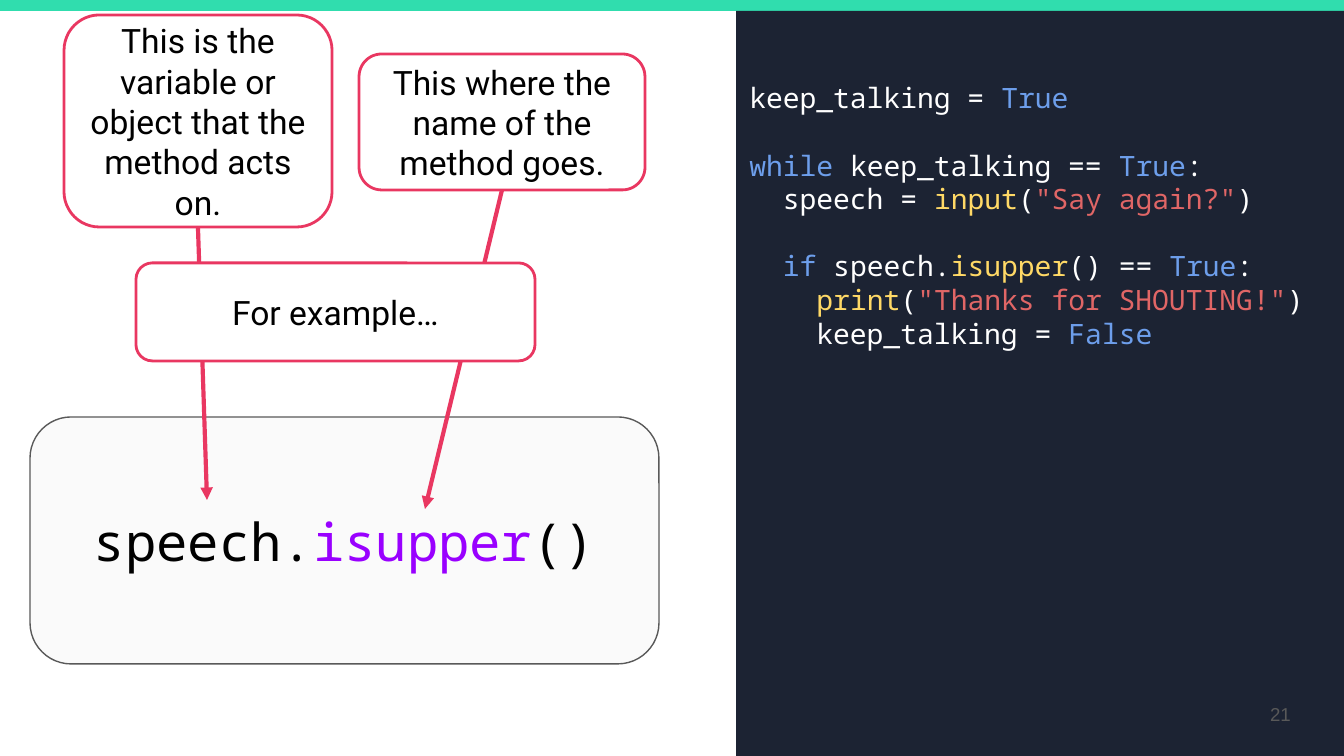
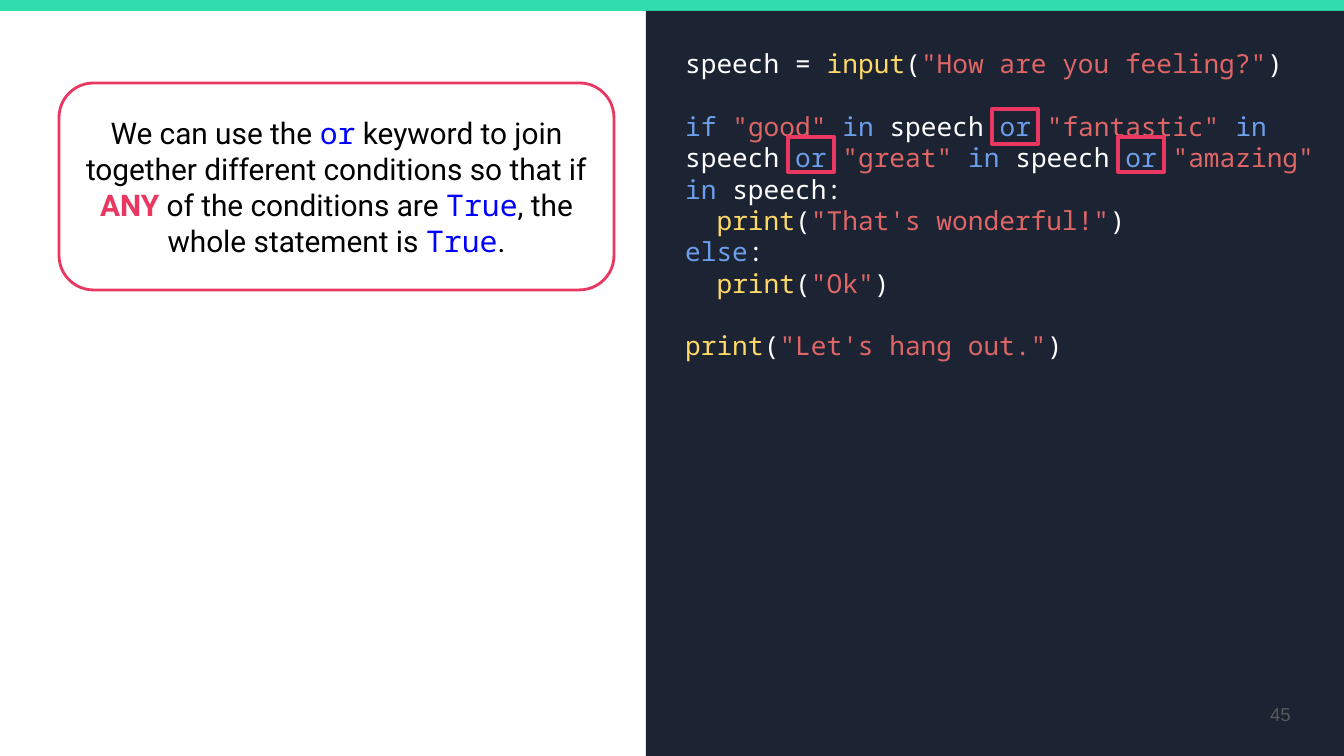
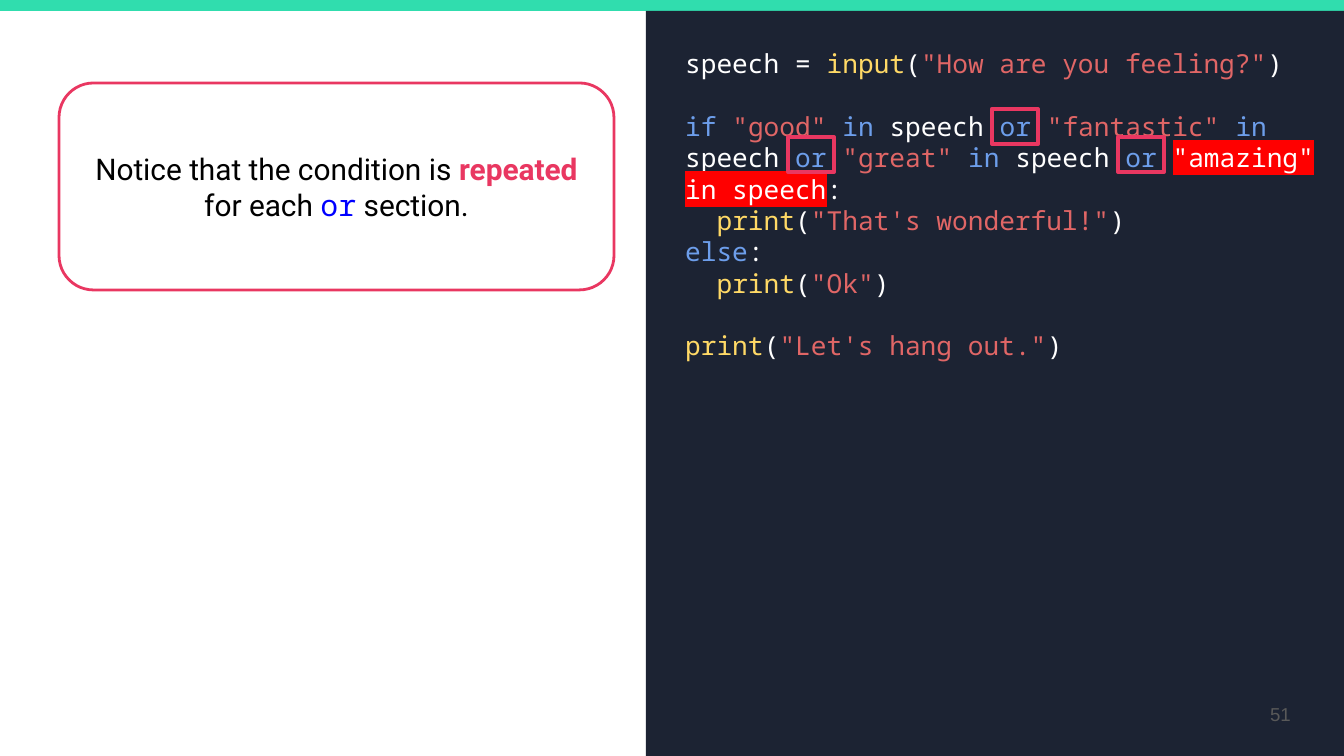
"""Build three lesson slides about Python methods and the or keyword."""
from dataclasses import dataclass

from lxml import etree
from pptx import Presentation
from pptx import util as u
from pptx.dml.color import RGBColor
from pptx.enum import shapes, text
from pptx.oxml.ns import qn

PX = u.Inches(1) / 134.4
WIDTH, HEIGHT = 1344, 756


@dataclass(frozen=True)
class Theme:
    mono: str = "Noto Sans Mono"
    body: str = "Roboto"
    footer: str = "Arial"
    band: str = "30DDAE"
    panel: str = "1C2333"
    accent: str = "E93761"
    card: str = "FFFFFF"
    method_card: str = "FAFAFA"
    grey: str = "595959"
    black: str = "000000"
    white: str = "FFFFFF"
    keyword: str = "6D9EEB"
    function: str = "FFD966"
    string: str = "E06666"
    inline: str = "0000FF"
    method: str = "9900FF"
    marker: str = "FF0000"
    method_size: int = 28
    label_size: int = 18
    note_size: int = 16
    long_code_size: int = 14
    code_size: int = 15
    footer_size: int = 10
    line_height: float = 1.2
    hairline: float = 0.75
    outline: float = 1.5
    heavy: float = 2.25


THEME = Theme()
STYLES = {
    "code": (THEME.mono, THEME.white),
    "keyword": (THEME.mono, THEME.keyword),
    "function": (THEME.mono, THEME.function),
    "string": (THEME.mono, THEME.string),
    "marked": (THEME.mono, THEME.white),
    "object": (THEME.mono, THEME.black),
    "method": (THEME.mono, THEME.method),
    "inline": (THEME.mono, THEME.inline),
    "body": (THEME.body, THEME.black),
    "strong": (THEME.body, THEME.accent),
    "footer": (THEME.footer, THEME.grey),
}


def call(indent, name, argument):
    """Return the runs of a function call with a string argument."""
    return [("code", indent), ("function", name), ("code", "("),
            ("string", argument), ("code", ")")]


def feeling_code(ending):
    """Return the feelings program with the given end of its condition."""
    condition = [("keyword", "if ")]
    for word in ('"good" ', '"fantastic" ', '"great" '):
        condition += [("string", word), ("keyword", "in"), ("code", " speech "),
                      ("keyword", "or ")]
    return [
        call("speech = ", "input", '"How are you feeling?"'),
        [],
        condition + ending,
        call("  ", "print", '"That\'s wonderful!"'),
        [("keyword", "else"), ("code", ":")],
        call("  ", "print", '"Ok"'),
        [],
        call("", "print", '"Let\'s hang out."'),
    ]


SHOUTING_CODE = [
    [],
    [("code", "keep_talking = "), ("keyword", "True")],
    [],
    [("keyword", "while"), ("code", " keep_talking == "), ("keyword", "True"), ("code", ":")],
    call("  speech = ", "input", '"Say again?"'),
    [],
    [("code", "  "), ("keyword", "if"), ("code", " speech."), ("function", "isupper"),
     ("code", "() == "), ("keyword", "True"), ("code", ":")],
    call("    ", "print", '"Thanks for SHOUTING!"'),
    [("code", "    keep_talking = "), ("keyword", "False")],
]
METHOD_CALL = [("object", "speech."), ("method", "isupper"), ("object", "()")]
METHOD_BOX = (30, 417, 629, 247)
POINTERS = [
    ("This is the variable or object that the method acts on.", (64, 15, 268, 212), (207, 500)),
    ("This where the name of the method goes.", (359, 54, 286, 136), (425, 509)),
]
EXAMPLE = ("For example…", (136, 263, 399, 98))
OR_SLIDES = [
    (45,
     [("body", "We can use the "), ("inline", "or"),
      ("body", " keyword to join together different conditions so that if "),
      ("strong", "ANY"), ("body", " of the conditions are "), ("inline", "True"),
      ("body", ", the whole statement is "), ("inline", "True"), ("body", ".")],
     [("string", '"amazing" '), ("keyword", "in"), ("code", " speech:")]),
    (51,
     [("body", "Notice that the condition is "), ("strong", "repeated"),
      ("body", " for each "), ("inline", "or"), ("body", " section.")],
     [("marked", '"amazing" in speech'), ("code", ":")]),
]
NOTE_BOX = (59, 83, 555, 207)
OR_FRAMES = [(992, 109), (788, 137), (1118, 137)]
OR_FRAME_SIZE = (46, 35)


def emu(*lengths):
    """Turn px lengths into EMU."""
    return [round(length * PX) for length in lengths]


def write(shape, lines, size, align=text.PP_ALIGN.LEFT, anchor=text.MSO_ANCHOR.MIDDLE):
    """Write styled lines, turning empty ones into space above the next."""
    frame = shape.text_frame
    frame.word_wrap = True
    frame.vertical_anchor = anchor
    inset = u.Inches(0.1)
    frame.margin_left = frame.margin_right = frame.margin_top = frame.margin_bottom = inset
    gap, started = 0, False
    for line in lines:
        if not line:
            gap += size * THEME.line_height
            continue
        paragraph = frame.add_paragraph() if started else frame.paragraphs[0]
        if started:
            paragraph.space_before = u.Pt(gap)
        else:
            frame.margin_top = inset + u.Pt(gap)
        paragraph.alignment = align
        gap, started = 0, True
        for style, content in line:
            if content:
                add_run(paragraph, content, style, size)


def add_run(paragraph, content, style, size):
    """Add one run in a named style."""
    run = paragraph.add_run()
    run.text = content
    run.font.name, color = STYLES[style]
    run.font.size = u.Pt(size)
    run.font.bold = style == "strong"
    run.font.color.rgb = RGBColor.from_string(color)
    if style == "marked":
        highlight = etree.Element(qn("a:highlight"))
        etree.SubElement(highlight, qn("a:srgbClr"), val=THEME.marker)
        run.font._element.find(qn("a:solidFill")).addnext(highlight)


def add_box(slide, box, fill=None, line=None, weight=THEME.outline, rounded=False):
    """Add a plain or rounded rectangle."""
    kind = shapes.MSO_SHAPE.ROUNDED_RECTANGLE if rounded else shapes.MSO_SHAPE.RECTANGLE
    shape = slide.shapes.add_shape(kind, *emu(*box))
    shape.shadow.inherit = False
    if fill:
        shape.fill.solid()
        shape.fill.fore_color.rgb = RGBColor.from_string(fill)
    else:
        shape.fill.background()
    if line:
        shape.line.color.rgb = RGBColor.from_string(line)
        shape.line.width = u.Pt(weight)
    else:
        shape.line.fill.background()
    return shape


def add_callout(slide, box, runs, size):
    """Add a rounded, accent-outlined card with centred text."""
    shape = add_box(slide, box, THEME.card, THEME.accent, rounded=True)
    write(shape, [runs], size, text.PP_ALIGN.CENTER)
    return shape


def add_arrow(slide, source, end):
    """Draw an arrow from the bottom of a card to a point."""
    connector = slide.shapes.add_connector(
        shapes.MSO_CONNECTOR.STRAIGHT, 0, 0, *emu(*end))
    connector.begin_connect(source, 2)
    connector.line.color.rgb = RGBColor.from_string(THEME.accent)
    connector.line.width = u.Pt(THEME.heavy)
    etree.SubElement(connector.line._get_or_add_ln(), qn("a:tailEnd"), type="triangle")
    etree.SubElement(connector._element.spPr, qn("a:effectLst"))


def add_base(presentation, number, panel_left, code_left, code_width, code, size):
    """Add a slide with its band, code panel and number."""
    slide = presentation.slides.add_slide(presentation.slide_layouts[6])
    add_box(slide, (-1, 0, WIDTH + 2, 11), THEME.band)
    add_box(slide, (panel_left, 11, WIDTH + 1 - panel_left, HEIGHT - 11), THEME.panel)
    code_box = slide.shapes.add_textbox(*emu(code_left, 34, code_width, 652))
    write(code_box, code, size, anchor=text.MSO_ANCHOR.TOP)
    number_box = slide.shapes.add_textbox(*emu(1223, 685, 81, 58))
    write(number_box, [[("footer", str(number))]], THEME.footer_size, text.PP_ALIGN.RIGHT)
    return slide


def add_method_slide(presentation):
    """Add the slide that names the parts of a method call."""
    slide = add_base(presentation, 21, 736, 736, 609, SHOUTING_CODE, THEME.code_size)
    method = add_box(slide, METHOD_BOX, THEME.method_card, THEME.grey, THEME.hairline, True)
    write(method, [METHOD_CALL], THEME.method_size, text.PP_ALIGN.CENTER)
    for label, box, end in POINTERS:
        card = add_callout(slide, box, [("body", label)], THEME.label_size)
        add_arrow(slide, card, end)
    label, box = EXAMPLE
    add_callout(slide, box, [("body", label)], THEME.label_size)


def add_or_slide(presentation, number, note, ending):
    """Add a slide that frames each or in the feelings program."""
    slide = add_base(presentation, number, 646, 672, 659, feeling_code(ending),
                     THEME.long_code_size)
    for corner in OR_FRAMES:
        add_box(slide, corner + OR_FRAME_SIZE, line=THEME.accent, weight=THEME.heavy)
    add_callout(slide, NOTE_BOX, note, THEME.note_size)


def main():
    """Build and save the presentation."""
    presentation = Presentation()
    presentation.slide_width, presentation.slide_height = emu(WIDTH, HEIGHT)
    add_method_slide(presentation)
    for number, note, ending in OR_SLIDES:
        add_or_slide(presentation, number, note, ending)
    presentation.save("out.pptx")


if __name__ == "__main__":
    main()
